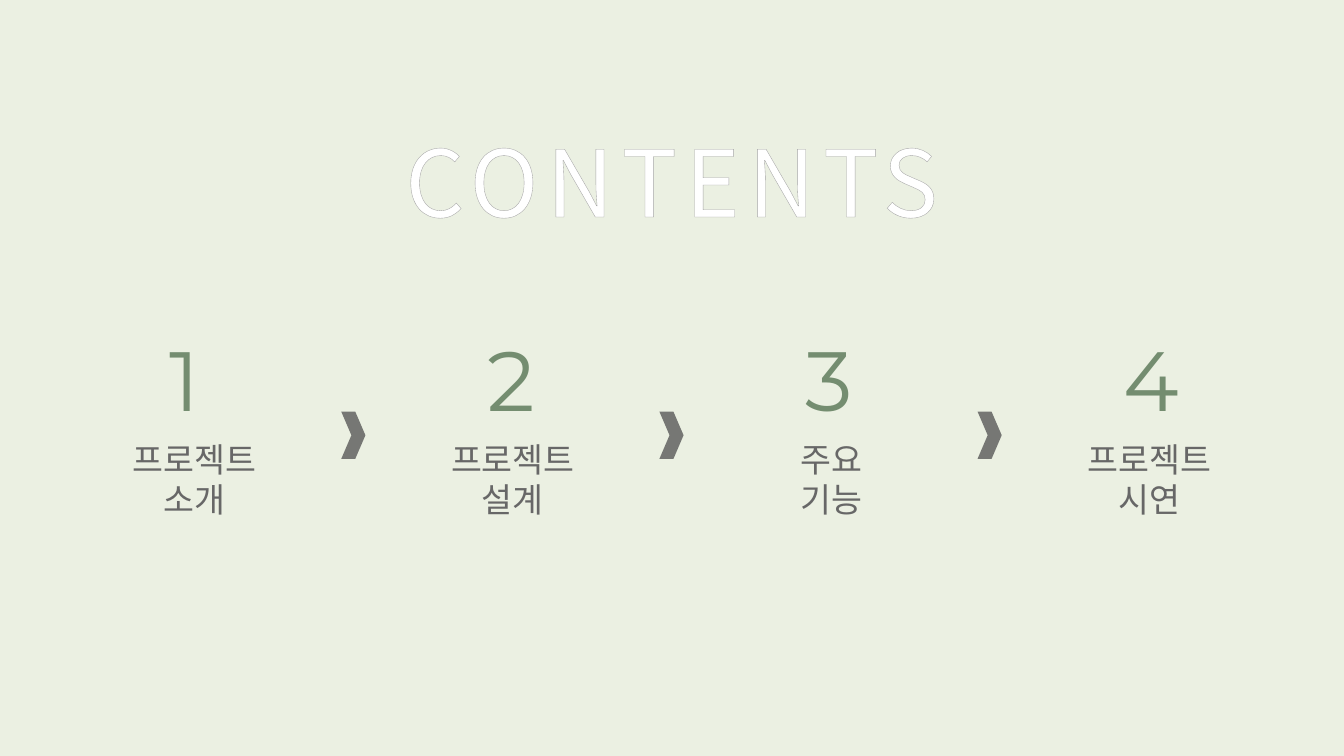
import dataclasses

import lxml.etree
import pptx
import pptx.dml.color
import pptx.enum.shapes
import pptx.enum.text
import pptx.oxml
import pptx.oxml.ns
import pptx.util

PX = 9525
qualified = pptx.oxml.ns.qn


@dataclasses.dataclass(frozen=True)
class Theme:
    """Colours, fonts and type sizes of the slide."""
    background: str = "E3EBD6"
    title: str = "FFFFFF"
    title_outline: str = "A5A5A5"
    number: str = "748D70"
    number_outline: str = "455C3F"
    label: str = "676767"
    arrow: str = "595959"
    text_font: str = "Noto Sans CJK KR"
    number_font: str = "Montserrat"
    title_size: int = 66
    number_size: int = 60
    label_size: int = 24


THEME = Theme()


def px(length):
    """Turn pixels into EMU."""
    return pptx.util.Emu(length * PX)


def set_fill(fill, color, opacity):
    """Fill with one colour at a percentage of opacity."""
    fill.solid()
    fill.fore_color.rgb = pptx.dml.color.RGBColor.from_string(color)
    color_element = fill._xPr.find(".//" + qualified("a:srgbClr"))
    alpha = lxml.etree.SubElement(color_element, qualified("a:alpha"))
    alpha.set("val", str(opacity * 1000))


def add_text(slide, box, lines, font, size, color, centered=True, wrap=False,
             outline=None, spacing=0):
    """Add a text box with one paragraph for each line."""
    shape = slide.shapes.add_textbox(*map(px, box))
    frame = shape.text_frame
    frame.word_wrap = wrap
    frame.auto_size = pptx.enum.text.MSO_AUTO_SIZE.SHAPE_TO_FIT_TEXT
    for index, line in enumerate(lines):
        paragraph = frame.add_paragraph() if index else frame.paragraphs[0]
        if centered:
            paragraph.alignment = pptx.enum.text.PP_ALIGN.CENTER
        run = paragraph.add_run()
        run.text = line
        run.font.size = pptx.util.Pt(size)
        run.font.color.rgb = pptx.dml.color.RGBColor.from_string(color)
        run.font.name = font
        properties = run._r.get_or_add_rPr()
        east_asian = lxml.etree.SubElement(properties, qualified("a:ea"))
        east_asian.set("typeface", font)
        if spacing:
            properties.set("spc", str(spacing * 100))
        if outline:
            properties.insert(0, pptx.oxml.parse_xml(
                f'<a:ln {pptx.oxml.ns.nsdecls("a")} w="{PX}"><a:solidFill>'
                f'<a:srgbClr val="{outline}"/></a:solidFill></a:ln>'))


def add_title(slide, left, top, width, height):
    """Add the spaced, outlined title."""
    add_text(slide, (left, top, width, height), ["CONTENTS"],
             THEME.text_font, THEME.title_size, THEME.title, wrap=True,
             outline=THEME.title_outline, spacing=6)


def add_step(slide, left, top, width, number, lines):
    """Add a step's number with its label below."""
    add_text(slide, (left + 41, top, 76, 106), [str(number)],
             THEME.number_font, THEME.number_size, THEME.number,
             centered=False, outline=THEME.number_outline)
    add_text(slide, (left, top + 106, width, 87), lines,
             THEME.text_font, THEME.label_size, THEME.label)


def add_arrow(slide, left, top, width, height):
    """Add a chevron that leads to the next step."""
    shape = slide.shapes.add_shape(pptx.enum.shapes.MSO_SHAPE.CHEVRON,
                                   px(left), px(top), px(width), px(height))
    shape.adjustments[0] = 0.42
    shape.shadow.inherit = False
    shape.line.fill.background()
    set_fill(shape.fill, THEME.arrow, 80)


def add_steps(slide, left, top, pitch, steps):
    """Set the steps at an equal pitch with arrows between them."""
    for index, lines in enumerate(steps):
        step_left = left + index * pitch
        add_step(slide, step_left, top, 149, index + 1, lines)
        if index < len(steps) - 1:
            add_arrow(slide, step_left + 214, top + 85, 23, 45)


def add_contents_slide(presentation):
    """Add the contents slide."""
    slide = presentation.slides.add_slide(presentation.slide_layouts[6])
    set_fill(slide.background.fill, THEME.background, 70)
    add_title(slide, 320, 114, 640, 115)
    add_steps(slide, 111, 307, 303, [
        ("프로젝트", "소개"),
        ("프로젝트", "설계"),
        ("주요", "기능"),
        ("프로젝트", "시연"),
    ])


def main():
    """Build and save the presentation."""
    presentation = pptx.Presentation()
    presentation.slide_width = px(1280)
    presentation.slide_height = px(720)
    add_contents_slide(presentation)
    presentation.save("out.pptx")


if __name__ == "__main__":
    main()
